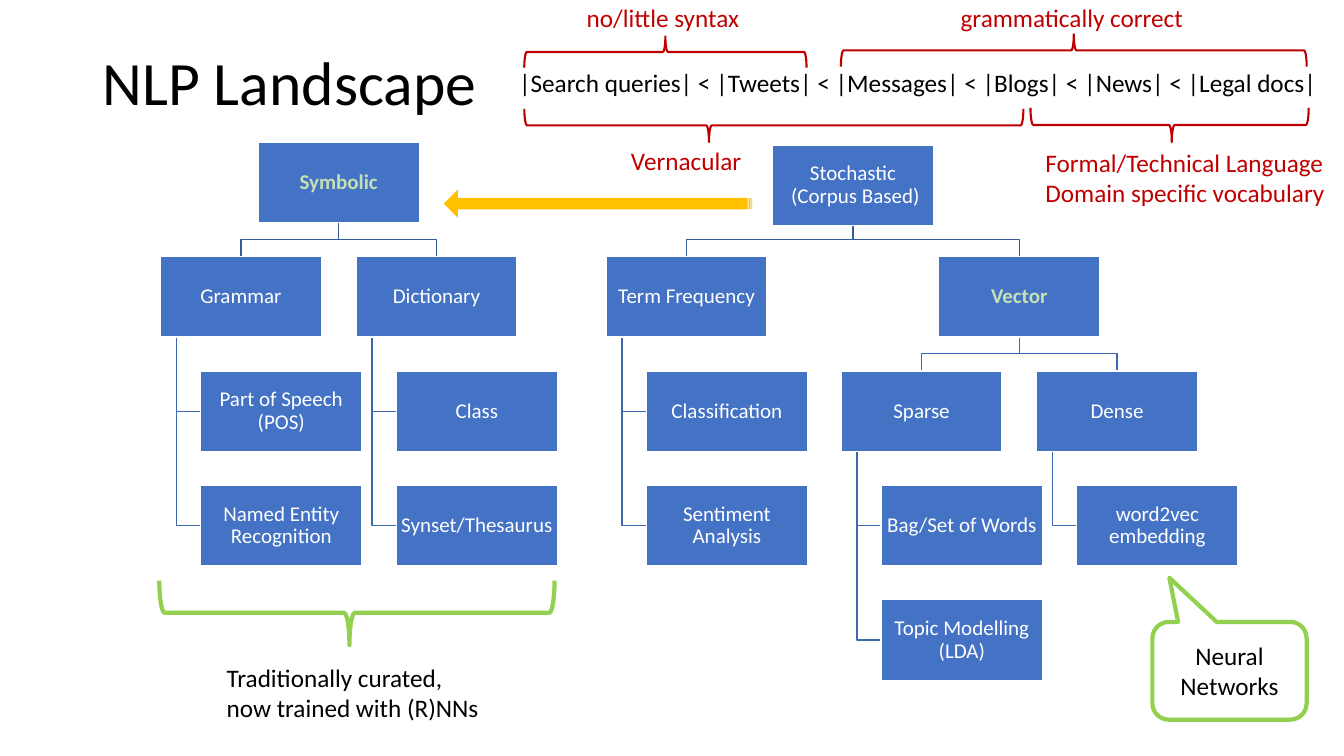
from pptx import Presentation
from pptx import util as u
from pptx.dml.color import RGBColor
from pptx.enum import shapes, text

FONT = "Calibri"
BLACK, WHITE, RED, GREEN = "000000", "FFFFFF", "C00000", "92D050"
BLUE, PALE, AMBER = "4472C4", "C5E0B4", "FFC000"
ROOT_LINK, LINK = "365B9D", "3E67B2"

# Trees: label, spread of the children to either side (0 = hanging list), children
SYMBOLIC = ("Symbolic", 0.97, [
    ("Grammar", 0, [("Part of Speech (POS)", 0, []), ("Named Entity Recognition", 0, [])]),
    ("Dictionary", 0, [("Class", 0, []), ("Synset/Thesaurus", 0, [])]),
])
STOCHASTIC = ("Stochastic\v (Corpus Based)", 1.65, [
    ("Term Frequency", 0, [("Classification", 0, []), ("Sentiment Analysis", 0, [])]),
    ("Vector", 0.97, [
        ("Sparse", 0, [("Bag/Set of Words", 0, []), ("Topic Modelling (LDA)", 0, [])]),
        ("Dense", 0, [("word2vec embedding", 0, [])]),
    ]),
])
ROOTS = [(SYMBOLIC, 2.56, 0), (STOCHASTIC, 7.66, 0.03)]  # tree, left, drop below row 0
HIGHLIGHTED = {"Symbolic", "Vector"}

# Notes: wording, box, colour, size, wraps
NOTES = [
    ("NLP Landscape", (0.92, 0.4, 4.13, 0.89), BLACK, 44, True),
    ("Traditionally curated, now trained with (R)NNs", (2.15, 6.52, 2.79, 0.71), BLACK, 18, True),
    ("|Search queries| < |Tweets| < |Messages| < |Blogs| < |News| < |Legal docs|",
     (5.05, 0.62, 8.43, 0.4), BLACK, 18, True),
    ("Vernacular", (6.16, 1.39, 1.31, 0.4), RED, 18, False),
    ("Formal/Technical Language\vDomain specific vocabulary",
     (10.27, 1.41, 2.99, 0.71), RED, 18, False),
    ("no/little syntax", (5.72, -0.03, 1.74, 0.4), RED, 18, False),
    ("grammatically correct", (9.43, -0.03, 2.43, 0.4), RED, 18, False),
]

# Braces: box as seen, rotation, place of the tip, colour, line width
BRACES = [
    ((1.58, 5.76, 3.92, 0.64), 90, 0.519, GREEN, 3),
    ((5.2, 0.36, 2.8, 0.31), 270, 0.5, RED, 1.5),
    ((8.34, 0.34, 4.62, 0.32), 270, 0.5, RED, 1.5),
    ((5.2, 1.08, 4.95, 0.33), 90, 0.63, RED, 1.5),
    ((10.22, 1.07, 2.76, 0.34), 90, 0.492, RED, 1.5),
]

# Tree grid
NODE_W, NODE_H = 1.6, 0.8
TOP, ROW = 1.41, 1.135
INDENT, STEM, BEND = 0.4, 0.16, 0.17

presentation = Presentation()
presentation.slide_width, presentation.slide_height = u.Inches(13.33), u.Inches(7.5)
slide = presentation.slides.add_slide(presentation.slide_layouts[6])


def color(value):
    return RGBColor.from_string(value)


def paint(shape, fill=None, line=None, width=1):
    shape.shadow.inherit = False
    if fill:
        shape.fill.solid()
        shape.fill.fore_color.rgb = color(fill)
    else:
        shape.fill.background()
    if line:
        shape.line.color.rgb = color(line)
        shape.line.width = u.Pt(width)
    else:
        shape.line.fill.background()


def add_shape(kind, box, adjustments=(), rotation=0, **style):
    shape = slide.shapes.add_shape(kind, *map(u.Inches, box))
    for index, value in enumerate(adjustments):
        shape.adjustments[index] = value
    shape.rotation = rotation
    paint(shape, **style)
    return shape


def write(shape, wording, size=18, ink=BLACK, bold=False, align=text.PP_ALIGN.LEFT,
          anchor=text.MSO_ANCHOR.TOP, wrap=True, spacing=1.0, inset=None):
    frame = shape.text_frame
    frame.word_wrap = wrap
    frame.vertical_anchor = anchor
    if inset is not None:
        frame.margin_left = frame.margin_right = u.Inches(inset)
        frame.margin_top = frame.margin_bottom = u.Inches(inset)
    paragraph = frame.paragraphs[0]
    paragraph.text = wording
    paragraph.alignment = align
    paragraph.line_spacing = spacing
    for run in paragraph.runs:
        run.font.name, run.font.size, run.font.bold = FONT, u.Pt(size), bold
        run.font.color.rgb = color(ink)


def add_link(points, ink):
    points = [(u.Inches(x), u.Inches(y)) for x, y in points]
    builder = slide.shapes.build_freeform(*points[0])
    builder.add_line_segments(points[1:], close=False)
    paint(builder.convert_to_shape(), line=ink)


def place(node, left, row, drop=0):
    """Draw the links below a node and return every (label, left, top) of its tree."""
    label, spread, children = node
    top = TOP + row * ROW + drop
    bottom, middle = top + NODE_H, left + NODE_W / 2
    placed = [(label, left, top)]
    for index, child in enumerate(children):
        if spread:
            child_row = row + 1
            child_left = left + (spread if index else -spread)
            child_top, child_middle = TOP + child_row * ROW, child_left + NODE_W / 2
            bend = child_top - BEND
            points = [(middle, bottom), (middle, bend), (child_middle, bend),
                      (child_middle, child_top)]
        else:
            child_row, child_left = row + 1 + index, left + INDENT
            level = TOP + child_row * ROW + NODE_H / 2
            points = [(left + STEM, bottom), (left + STEM, level), (child_left, level)]
        add_link(points, LINK if row else ROOT_LINK)
        placed += place(child, child_left, child_row)
    return placed


# Trees: links first, boxes over them
centred = dict(align=text.PP_ALIGN.CENTER, anchor=text.MSO_ANCHOR.MIDDLE)
nodes = [node for tree, left, drop in ROOTS for node in place(tree, left, 0, drop)]
for label, left, top in nodes:
    box = add_shape(shapes.MSO_SHAPE.RECTANGLE, (left, top, NODE_W, NODE_H),
                    fill=BLUE, line=WHITE)
    strong = label in HIGHLIGHTED
    write(box, label, size=15, ink=PALE if strong else WHITE, bold=strong,
          spacing=0.9, inset=0.01, **centred)

# Callout
callout = add_shape(shapes.MSO_SHAPE.ROUNDED_RECTANGULAR_CALLOUT, (11.43, 6.17, 1.53, 0.97),
                    (-0.39, -0.952, 0.167), line=GREEN, width=3)
write(callout, "Neural Networks", **centred)

# Braces: turned a quarter, so width and height swap around the centre
for (left, top, width, height), rotation, tip, ink, weight in BRACES:
    shift = (width - height) / 2
    add_shape(shapes.MSO_SHAPE.RIGHT_BRACE, (left + shift, top - shift, height, width),
              (0.083, tip), rotation, line=ink, width=weight)

# Title and notes
for wording, box, ink, size, wrap in NOTES:
    title = size > 18
    write(slide.shapes.add_textbox(*map(u.Inches, box)), wording, size=size, ink=ink, wrap=wrap,
          spacing=0.9 if title else 1.0,
          anchor=text.MSO_ANCHOR.MIDDLE if title else text.MSO_ANCHOR.TOP)

# Arrow from stochastic to symbolic
add_shape(shapes.MSO_SHAPE.STRIPED_RIGHT_ARROW, (4.4, 1.88, 3.06, 0.28), (0.403, 0.5), 180,
          fill=AMBER)

presentation.save("out.pptx")
